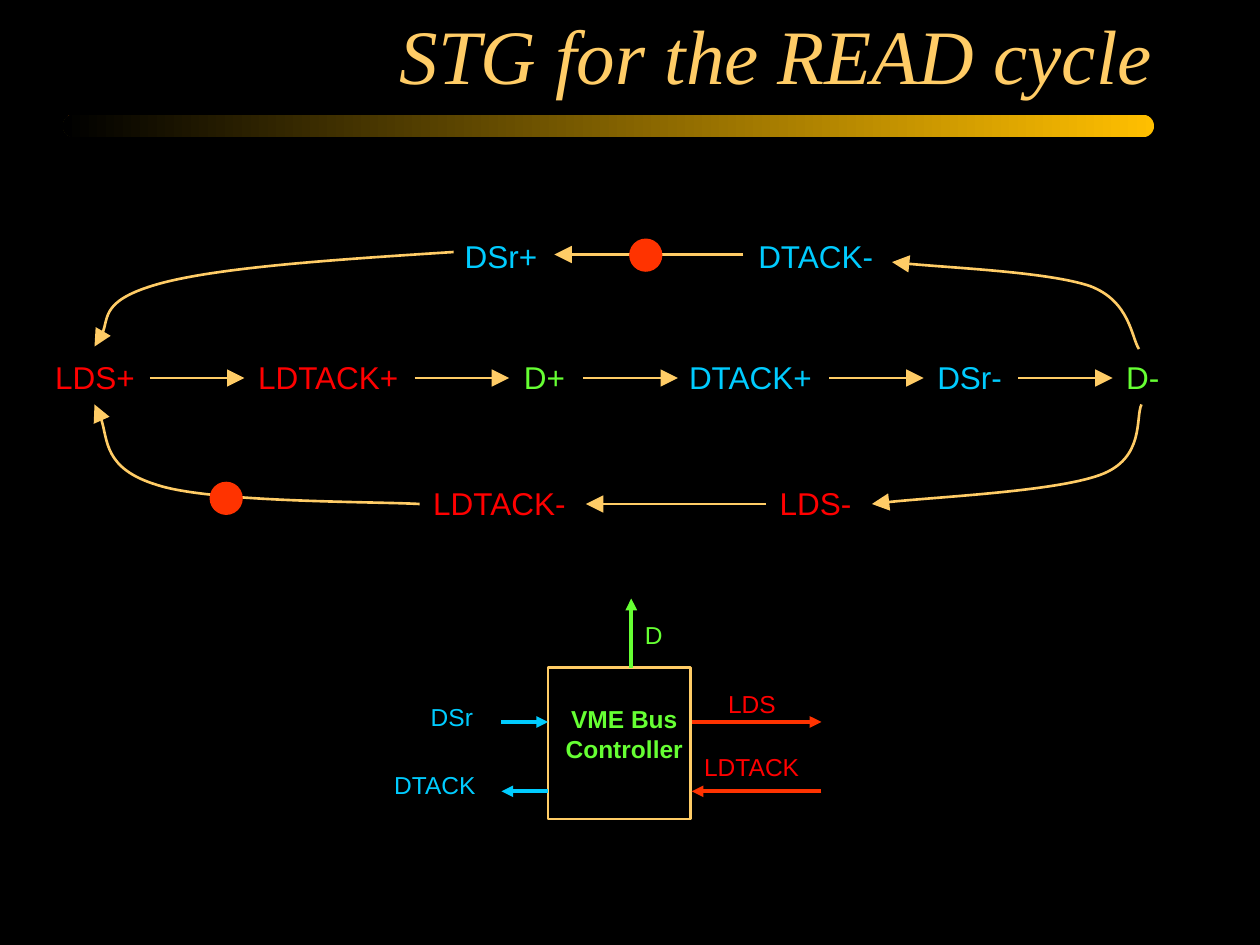
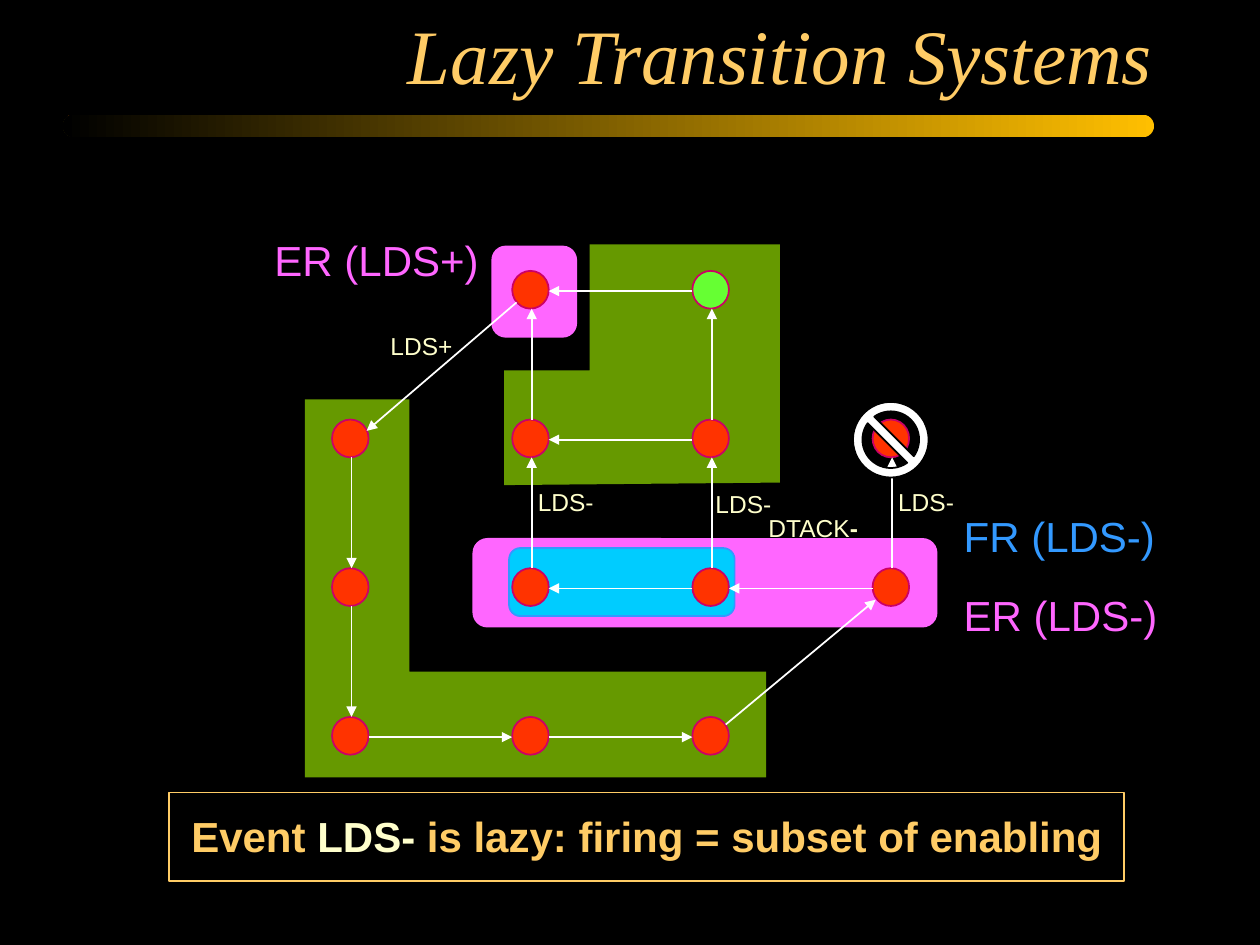
from dataclasses import dataclass
from typing import Any

from lxml.etree import SubElement
from pptx import Presentation
from pptx.dml.color import RGBColor
from pptx.enum.shapes import MSO_CONNECTOR, MSO_SHAPE
from pptx.enum.text import MSO_ANCHOR, MSO_AUTO_SIZE, PP_ALIGN
from pptx.oxml.ns import qn
from pptx.util import Inches, Pt

BLACK = RGBColor(0x00, 0x00, 0x00)
WHITE = RGBColor(0xFF, 0xFF, 0xFF)
AMBER = RGBColor(0xFF, 0xBF, 0x00)
SAND = RGBColor(0xFF, 0xCC, 0x66)
CREAM = RGBColor(0xFF, 0xFF, 0xCC)
RED = RGBColor(0xFF, 0x00, 0x00)
FLAME = RGBColor(0xFF, 0x33, 0x00)
LIME = RGBColor(0x66, 0xFF, 0x33)
OLIVE = RGBColor(0x66, 0x99, 0x00)
CYAN = RGBColor(0x00, 0xCC, 0xFF)
BLUE = RGBColor(0x33, 0x99, 0xFF)
PINK = RGBColor(0xFF, 0x66, 0xFF)
ROSE = RGBColor(0xCC, 0x00, 0x66)

TITLE = {"name": "Times New Roman", "size": Pt(44), "italic": True, "color": SAND}


def style(font, form):
    for key, val in form.items():
        if key == "color":
            font.color.rgb = val
        else:
            setattr(font, key, val)


def write(frame, paras, form, align=PP_ALIGN.LEFT):
    """Fill a frame; each paragraph is a list of (text, format changes)."""
    for num, runs in enumerate(paras):
        para = frame.add_paragraph() if num else frame.paragraphs[0]
        para.alignment = align
        for text, extra in runs:
            run = para.add_run()
            run.text = text
            style(run.font, {**form, **extra})


def paint(shape, fill=None, line=None, width=1):
    shape.shadow.inherit = False
    if fill is None:
        shape.fill.background()
    else:
        shape.fill.solid()
        shape.fill.fore_color.rgb = fill
    if line is None:
        shape.line.fill.background()
    else:
        shape.line.color.rgb = line
        shape.line.width = Pt(width)


def add_head(shape, size="med"):
    """Put a triangle at the end of an outlined path."""
    line = shape._element.spPr.find(qn("a:ln"))
    SubElement(line, qn("a:tailEnd"), type="triangle", w=size, len=size)


def bend(shape):
    """Turn each three line segments into one cubic curve."""
    lines = list(shape._element.iter(qn("a:lnTo")))
    for i in range(0, len(lines), 3):
        trio = lines[i:i + 3]
        curve = SubElement(trio[0].getparent(), qn("a:cubicBezTo"))
        for line in trio:
            curve.append(line[0])
            line.getparent().remove(line)


@dataclass
class Region:
    """Part of a slide; lengths in inches from its top left corner."""
    slide: Any
    left: float
    top: float

    def spot(self, x, y):
        return Inches(self.left + x), Inches(self.top + y)

    def shape(self, kind, x, y, w, h, adj=None, **look):
        item = self.slide.shapes.add_shape(kind, *self.spot(x, y), Inches(w), Inches(h))
        if adj is not None:
            item.adjustments[0] = adj
        paint(item, **look)
        return item

    def label(self, x, y, w, h, paras, size, color, align=PP_ALIGN.LEFT, **extra):
        box = self.slide.shapes.add_textbox(*self.spot(x, y), Inches(w), Inches(h))
        frame = box.text_frame
        frame.word_wrap = False
        frame.auto_size = MSO_AUTO_SIZE.SHAPE_TO_FIT_TEXT
        if align == PP_ALIGN.LEFT:
            frame.margin_right = Inches(0.05)
        if isinstance(paras, str):
            paras = [[(paras, {})]]
        form = {"name": "Arial", "size": Pt(size), "color": color, **extra}
        write(frame, paras, form, align)

    def arrow(self, start, end, color, width, head="med"):
        line = self.slide.shapes.add_connector(
            MSO_CONNECTOR.STRAIGHT, *self.spot(*start), *self.spot(*end))
        line.line.color.rgb = color
        line.line.width = Pt(width)
        add_head(line, head)
        SubElement(line._element.spPr, qn("a:effectLst"))

    def outline(self, points, close, **look):
        spots = [self.spot(*p) for p in points]
        pen = self.slide.shapes.build_freeform(*spots[0])
        pen.add_line_segments(spots[1:], close=close)
        item = pen.convert_to_shape()
        paint(item, **look)
        return item


def new_slide(deck, text):
    """Add a slide with the shared gradient band and title."""
    slide = deck.slides.add_slide(deck.slide_layouts[5])
    band = Region(slide, 0.5, 0.91).shape(
        MSO_SHAPE.ROUNDED_RECTANGLE, 0, 0, 8.66, 0.18, adj=0.5)
    band.fill.gradient()
    band.fill.gradient_angle = 180
    for stop, color, place in zip(band.fill.gradient_stops, (AMBER, BLACK), (0, 1)):
        stop.color.rgb = color
        stop.position = place
    title = slide.shapes.title
    box = {"left": 0.75, "top": 0.09, "width": 8.5, "height": 0.75}
    for key, val in box.items():
        setattr(title, key, Inches(val))
    frame = title.text_frame
    frame.auto_size = MSO_AUTO_SIZE.NONE
    frame.vertical_anchor = MSO_ANCHOR.BOTTOM
    write(frame, [[(text, {})]], TITLE, PP_ALIGN.RIGHT)
    return slide


def draw_cycle(area):
    """Signal events of the read cycle and the arcs between them."""
    events = (
        ("LDS+", 0.09, 1.04, 0.83, RED), ("LDTACK+", 1.7, 1.04, 1.33, RED),
        ("D+", 3.81, 1.04, 0.52, LIME), ("DTACK+", 5.12, 1.04, 1.19, CYAN),
        ("DSr-", 7.09, 1.04, 0.71, CYAN), ("D-", 8.59, 1.04, 0.46, LIME),
        ("DTACK-", 5.67, 0.08, 1.13, CYAN), ("DSr+", 3.34, 0.08, 0.77, CYAN),
        ("LDS-", 5.84, 2.04, 0.77, RED), ("LDTACK-", 3.09, 2.04, 1.27, RED),
    )
    for text, x, y, w, color in events:
        area.label(x, y, w, 0.4, text, 18, color)
    for x in (0.94, 3.04, 4.38, 6.33, 7.83):
        area.arrow((x, 1.25), (x + 0.75, 1.25), SAND, 1.5, "lg")
    area.arrow((5.83, 2.25), (4.4, 2.25), SAND, 1.5, "lg")
    area.arrow((5.65, 0.27), (4.15, 0.27), SAND, 1.5, "lg")
    curves = (
        ((3.35, 0.25), (2.42, 0.31), (1.5, 0.37), (1.02, 0.5),
         (0.55, 0.63), (0.61, 0.9), (0.5, 1)),
        ((3.08, 2.25), (2.74, 2.23), (1.43, 2.24), (1, 2.1),
         (0.57, 1.97), (0.6, 1.59), (0.5, 1.46)),
        ((8.79, 1.02), (8.73, 0.93), (8.72, 0.64), (8.4, 0.52),
         (8.07, 0.41), (7.16, 0.37), (6.83, 0.33)),
        ((8.81, 1.46), (8.76, 1.56), (8.84, 1.89), (8.48, 2.02),
         (8.12, 2.15), (7.04, 2.2), (6.67, 2.25)),
    )
    for points in curves:
        arc = area.outline(points, False, line=SAND, width=1.5)
        bend(arc)
        add_head(arc, "lg")
    for x, y in ((4.75, 0.15), (1.42, 2.08)):
        area.shape(MSO_SHAPE.OVAL, x, y, 0.25, 0.25, fill=FLAME, line=FLAME)


def draw_bus(area):
    """Controller block with its input and output signals."""
    area.shape(MSO_SHAPE.RECTANGLE, 1.35, 0.55, 1.13, 1.2, line=SAND, width=1.5)
    signals = (
        ("LDS", 2.68, 0.67, 0.58, RED), ("LDTACK", 2.49, 1.17, 0.97, RED),
        ("D", 2.02, 0.12, 0.34, LIME), ("DSr", 0.32, 0.77, 0.53, CYAN),
        ("DTACK", 0.03, 1.31, 0.86, CYAN),
    )
    for text, x, y, w, color in signals:
        area.label(x, y, w, 0.34, text, 14, color)
    wires = (
        ((3.52, 1.53), (2.49, 1.53), FLAME), ((2.49, 0.98), (3.52, 0.98), FLAME),
        ((2.01, 0.55), (2.01, 0), LIME),
        ((0.98, 0.98), (1.35, 0.98), CYAN), ((1.35, 1.53), (0.98, 1.53), CYAN),
    )
    for start, end, color in wires:
        area.arrow(start, end, color, 2.25)
    area.label(1.39, 0.79, 1.13, 0.57, [[("VME Bus", {})], [("Controller", {})]],
               14, LIME, PP_ALIGN.CENTER, bold=True)


def draw_zones(area):
    """Coloured regions behind the states."""
    tile = MSO_SHAPE.ROUNDED_RECTANGLE
    area.shape(tile, 1.75, 2.52, 3.69, 0.71, fill=PINK)
    area.shape(tile, 2.04, 2.6, 1.79, 0.54, fill=CYAN, line=BLUE)
    for points in (
        ((0.42, 1.42), (1.25, 1.42), (1.25, 3.58), (4.08, 3.58), (4.08, 4.42), (0.42, 4.42)),
        ((2.68, 0.19), (2.68, 1.19), (2, 1.19), (2, 2.1), (4.19, 2.08), (4.19, 0.19)),
    ):
        area.outline(points, True, fill=OLIVE)
    area.shape(tile, 1.9, 0.2, 0.68, 0.73, fill=PINK)


def draw_states(area):
    """States on a grid, given as (column, row), joined by arrows."""
    wide, high, shift = 0.29, 0.3, 0.01

    def centre(node):
        return 0.78 + 1.43 * node[0], 0.55 + 1.18 * node[1]

    def rim(node, dx, dy):
        x, y = centre(node)
        return (x + dx * wide / 2 + shift * abs(dy),
                y + dy * high / 2 + shift * abs(dx))

    rows = ((1, 2), (0, 1, 2, 3), (0, 1, 2, 3), (0, 1, 2))
    for row, cols in enumerate(rows):
        for col in cols:
            x, y = centre((col, row))
            area.shape(MSO_SHAPE.OVAL, x - wide / 2, y - high / 2, wide, high,
                       fill=LIME if (col, row) == (2, 0) else FLAME, line=ROSE)
    moves = (
        ((2, 0), (1, 0)), ((2, 1), (1, 1)), ((3, 2), (2, 2)), ((2, 2), (1, 2)),
        ((0, 3), (1, 3)), ((1, 3), (2, 3)), ((3, 2), (3, 1)), ((2, 1), (2, 0)),
        ((2, 2), (2, 1)), ((1, 1), (1, 0)), ((1, 2), (1, 1)), ((0, 1), (0, 2)),
        ((0, 2), (0, 3)),
    )
    for start, end in moves:
        dx, dy = end[0] - start[0], end[1] - start[1]
        area.arrow(rim(start, dx, dy), rim(end, -dx, -dy), WHITE, 1)
    for start, end in (((2.1, 0.65), (0.91, 1.67)), ((3.76, 4), (4.95, 3.01))):
        area.arrow(start, end, WHITE, 1)
    area.shape(MSO_SHAPE.NO_SYMBOL, 4.77, 1.44, 0.6, 0.6, adj=0.125,
               fill=WHITE, line=BLACK)


def draw_names(area):
    """Names of the regions and of the events on the arrows."""
    for text, x, y, w, color in (
        ("ER (LDS+)", 0.08, 0.06, 1.82, PINK), ("ER (LDS-)", 5.55, 2.88, 1.73, PINK),
        ("FR (LDS-)", 5.55, 2.25, 1.72, BLUE),
    ):
        area.label(x, y, w, 0.5, text, 24, color)
    for text, x, y, w in (
        ("LDS-", 5.03, 2.07, 0.64), ("LDS-", 2.17, 2.07, 0.64),
        ("LDS-", 3.58, 2.08, 0.64), ("LDS+", 1, 0.83, 0.69),
    ):
        area.label(x, y, w, 0.34, text, 14, CREAM)
    area.label(4, 2.27, 0.92, 0.34, [[("DTACK", {}), ("-", {"bold": True})]], 14, CREAM)


def draw_note(area):
    area.label(0.08, 0.09, 7.43, 0.5, [[
        ("Event ", {}), ("LDS-", {"color": CREAM}),
        (" is lazy: firing = subset of enabling", {}),
    ]], 24, SAND, bold=True)
    area.shape(MSO_SHAPE.RECTANGLE, 0, 0, 7.58, 0.7, line=SAND)


def main():
    deck = Presentation()
    deck.slide_width, deck.slide_height = Inches(10), Inches(7.5)
    back = deck.slide_master.background.fill
    back.solid()
    back.fore_color.rgb = BLACK

    slide = new_slide(deck, "STG for the READ cycle")
    draw_cycle(Region(slide, 0.25, 1.75))
    draw_bus(Region(slide, 3, 4.75))

    slide = new_slide(deck, "Lazy Transition Systems")
    area = Region(slide, 2, 1.75)
    for draw in (draw_zones, draw_states, draw_names):
        draw(area)
    draw_note(Region(slide, 1.34, 6.29))
    deck.save("out.pptx")


if __name__ == "__main__":
    main()
